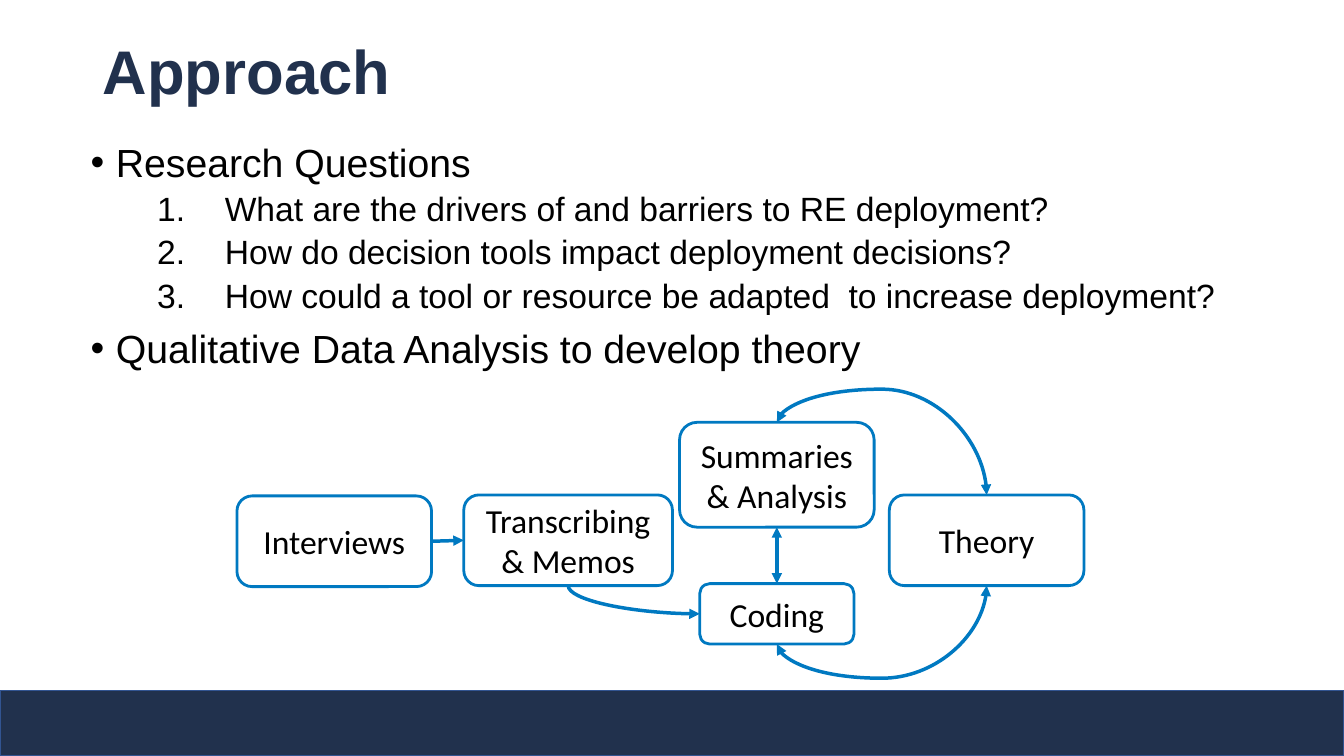
import pptx
import pptx.util
import pptx.dml.color
import pptx.enum.shapes
import pptx.enum.text
import pptx.oxml.ns
import lxml.etree

COLORS = {
    "navy": "21314D",
    "bar line": "325491",
    "blue": "0079C1",
    "black": "000000",
    "white": "FFFFFF",
}
Inches, Pt = pptx.util.Inches, pptx.util.Pt
ANCHOR = pptx.enum.text.MSO_ANCHOR
ALIGN = pptx.enum.text.PP_ALIGN
SHAPE = pptx.enum.shapes.MSO_SHAPE
CONNECTOR = pptx.enum.shapes.MSO_CONNECTOR

presentation = pptx.Presentation()
presentation.slide_width = Inches(13.33)
presentation.slide_height = Inches(7.5)
column = presentation.slide_width / 100
row = presentation.slide_height / 100
slide = presentation.slides.add_slide(presentation.slide_layouts[1])


def style_run(run, font_name, size, color, bold=False):
    run.font.name = font_name
    run.font.size = Pt(size)
    run.font.bold = bold
    run.font.color.rgb = pptx.dml.color.RGBColor.from_string(COLORS[color])


def add_element(parent, tag, **attributes):
    return lxml.etree.SubElement(parent, pptx.oxml.ns.qn(tag), **attributes)


title = slide.shapes.title
title.left, title.top = int(6.9 * column), int(0.13 * row)
title.width, title.height = int(86.27 * column), int(19.33 * row)
title.text_frame.text = "Approach"
title.text_frame.vertical_anchor = ANCHOR.MIDDLE
title_paragraph = title.text_frame.paragraphs[0]
title_paragraph.alignment = ALIGN.LEFT
title_paragraph.line_spacing = 0.9
style_run(title_paragraph.runs[0], "Arial", 44, "navy", True)

body = slide.placeholders[1]
body.left, body.top = int(6 * column), int(18.27 * row)
body.width, body.height = int(86.27 * column), int(63.47 * row)
points = [
    (0, "Research Questions"),
    (1, "What are the drivers of and barriers to RE deployment?"),
    (1, "How do decision tools impact deployment decisions?"),
    (1, "How could a tool or resource be adapted  to increase deployment?"),
    (0, "Qualitative Data Analysis to develop theory"),
]
body.text_frame.text = "\n".join(text for level, text in points)
body.text_frame.auto_size = pptx.enum.text.MSO_AUTO_SIZE.NONE
for paragraph, (level, text) in zip(body.text_frame.paragraphs, points):
    paragraph.level = level
    paragraph.line_spacing = 0.9
    paragraph.space_before = Pt((10, 5)[level])
    style_run(paragraph.runs[0], "Arial", (28, 24)[level], "black")
    properties = paragraph._p.get_or_add_pPr()
    properties.set("marL", str(Inches((0.25, 1.33)[level])))
    properties.set("indent", str(Inches((-0.25, -0.67)[level])))
    add_element(properties, "a:buFont", typeface="Arial")
    if level:
        add_element(properties, "a:buAutoNum", type="arabicPeriod")
    else:
        add_element(properties, "a:buChar", char="•")

boxes = {}
for name, left, top, width, height in [
    ("Interviews", 17.63, 65.6, 14.48, 12),
    ("Transcribing & Memos", 34.51, 65.47, 15.53, 12),
    ("Coding", 52.06, 77.2, 11.48, 8),
    ("Summaries & Analysis", 50.56, 55.87, 14.48, 13.87),
    ("Theory", 66.17, 65.47, 14.48, 12),
]:
    box = slide.shapes.add_shape(
        SHAPE.ROUNDED_RECTANGLE,
        int(left * column), int(top * row), int(width * column), int(height * row))
    box.shadow.inherit = False
    box.fill.solid()
    box.fill.fore_color.rgb = pptx.dml.color.RGBColor.from_string(COLORS["white"])
    box.line.color.rgb = pptx.dml.color.RGBColor.from_string(COLORS["blue"])
    box.line.width = Pt(2)
    frame = box.text_frame
    frame.text = name
    frame.word_wrap = True
    frame.vertical_anchor = ANCHOR.MIDDLE
    frame.margin_left = frame.margin_right = Inches(0.13)
    frame.margin_top = frame.margin_bottom = Inches(0.07)
    frame.paragraphs[0].alignment = ALIGN.CENTER
    style_run(frame.paragraphs[0].runs[0], "Calibri", 24, "black")
    boxes[name] = box

arrows = []
for start, start_site, end, end_site, both_ways in [
    ("Coding", 0, "Summaries & Analysis", 2, True),
    ("Interviews", 3, "Transcribing & Memos", 1, False),
]:
    arrow = slide.shapes.add_connector(CONNECTOR.STRAIGHT, 0, 0, 0, 0)
    arrow.begin_connect(boxes[start], start_site)
    arrow.end_connect(boxes[end], end_site)
    arrows.append((arrow, both_ways))

sites = {
    (name, side): (box.left + box.width * across, box.top + box.height * down)
    for name, box in boxes.items()
    for side, across, down in [("top", 0.5, 0), ("left", 0, 0.5), ("bottom", 0.5, 1)]
}
for start, end, preset, quarter_turns, flips, bend, both_ways in [
    (("Transcribing & Memos", "bottom"), ("Coding", "left"),
     "curvedConnector2", 3, ["flipH"], None, False),
    (("Coding", "bottom"), ("Theory", "bottom"),
     "curvedConnector3", 1, ["flipH", "flipV"], -58400, True),
    (("Summaries & Analysis", "top"), ("Theory", "top"),
     "curvedConnector3", 3, ["flipH"], -45800, True),
]:
    (start_x, start_y), (end_x, end_y) = sites[start], sites[end]
    width, height = abs(end_y - start_y), abs(end_x - start_x)
    left = (start_x + end_x - width) / 2
    top = (start_y + end_y - height) / 2
    arrow = slide.shapes.add_connector(
        CONNECTOR.CURVE, int(left), int(top), int(left + width), int(top + height))
    transform = arrow._element.spPr.find(pptx.oxml.ns.qn("a:xfrm"))
    transform.set("rot", str(quarter_turns * 90 * 60000))
    for flip in flips:
        transform.set(flip, "1")
    geometry = arrow._element.spPr.find(pptx.oxml.ns.qn("a:prstGeom"))
    geometry.set("prst", preset)
    if bend is not None:
        adjustments = geometry.find(pptx.oxml.ns.qn("a:avLst"))
        add_element(adjustments, "a:gd", name="adj1", fmla=f"val {bend}")
    arrows.append((arrow, both_ways))

for arrow, both_ways in arrows:
    arrow.line.color.rgb = pptx.dml.color.RGBColor.from_string(COLORS["blue"])
    arrow.line.width = Pt(2.5)
    line = arrow.line._get_or_add_ln()
    if both_ways:
        add_element(line, "a:headEnd", type="triangle")
    add_element(line, "a:tailEnd", type="triangle")
    add_element(arrow._element.spPr, "a:effectLst")

footer_bar = slide.shapes.add_shape(
    SHAPE.RECTANGLE, 0, int(91.33 * row), int(100 * column), int(8.67 * row))
footer_bar.shadow.inherit = False
footer_bar.fill.solid()
footer_bar.fill.fore_color.rgb = pptx.dml.color.RGBColor.from_string(COLORS["navy"])
footer_bar.line.color.rgb = pptx.dml.color.RGBColor.from_string(COLORS["bar line"])
footer_bar.line.width = Pt(1)

presentation.save("out.pptx")
